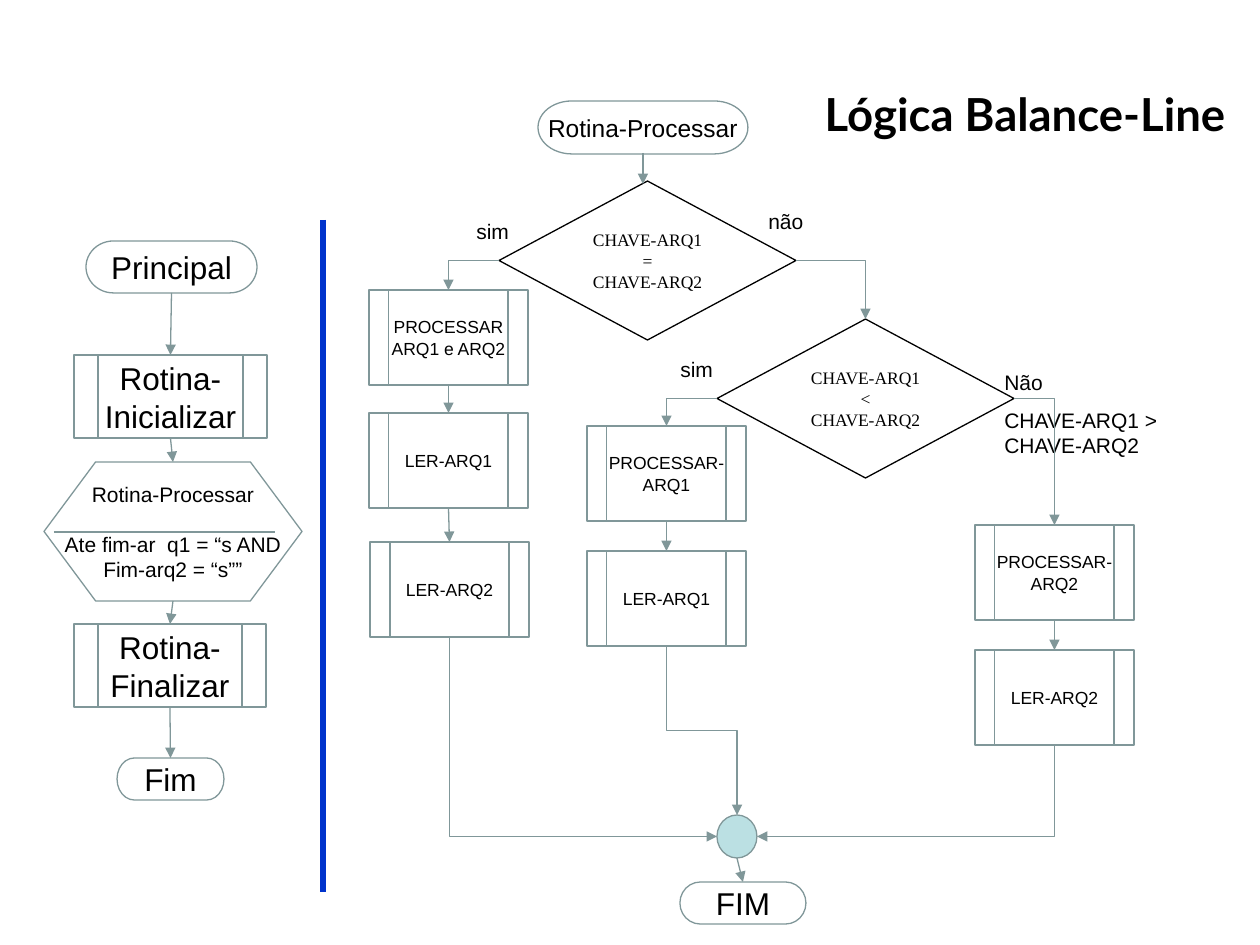
"""Build the balance-line logic flowchart slide."""
from lxml import etree
from pptx import Presentation
from pptx import util as u
from pptx.dml.color import RGBColor
from pptx.enum import shapes, text
from pptx.oxml.ns import qn

PX = 914400 // 126
COLOURS = {"outline": "809799", "white": "FFFFFF", "black": "000000",
           "divider": "0033CC", "join": "BBE0E3"}
TOP, LEFT, BOTTOM, RIGHT = range(4)
KINDS = {"end": shapes.MSO_SHAPE.FLOWCHART_TERMINATOR,
         "process": shapes.MSO_SHAPE.FLOWCHART_PREDEFINED_PROCESS,
         "loop": shapes.MSO_SHAPE.FLOWCHART_PREPARATION,
         "decision": shapes.MSO_SHAPE.FLOWCHART_DECISION,
         "join": shapes.MSO_SHAPE.FLOWCHART_CONNECTOR}
STEP, CHOICE = (159, 95), (297, 159)

TITLE = ("Lógica Balance-Line", (74, 86, 1152, 48))
NODES = {
    "main": ("end", (86, 241, 171, 52), 18, ["Principal"]),
    "initialise": ("process", (74, 355, 193, 83), 18, ["Rotina-", "Inicializar"]),
    "loop": ("loop", (44, 462, 258, 139), 12,
             ["Rotina-Processar", "Ate fim-ar  q1 = “s AND", "Fim-arq2 = “s””"]),
    "finalise": ("process", (74, 624, 192, 83), 18, ["Rotina-", "Finalizar"]),
    "main end": ("end", (117, 758, 107, 42), 18, ["Fim"]),
    "equal": ("decision", (499, 181, *CHOICE), 10, ["CHAVE-ARQ1", "=", "CHAVE-ARQ2"]),
    "routine": ("end", (538, 101, 210, 53), 14, ["Rotina-Processar"]),
    "routine end": ("end", (680, 882, 126, 42), 18, ["FIM"]),
    "process both": ("process", (369, 290, *STEP), 10, ["PROCESSAR", "ARQ1 e ARQ2"]),
    "both read 1": ("process", (369, 413, *STEP), 10, ["LER-ARQ1"]),
    "both read 2": ("process", (370, 542, *STEP), 10, ["LER-ARQ2"]),
    "less": ("decision", (717, 319, *CHOICE), 10, ["CHAVE-ARQ1", "<", "CHAVE-ARQ2"]),
    "process 1": ("process", (587, 426, *STEP), 10, ["PROCESSAR-", "ARQ1"]),
    "read 1": ("process", (587, 551, *STEP), 10, ["LER-ARQ1"]),
    "process 2": ("process", (975, 525, *STEP), 10, ["PROCESSAR-", "ARQ2"]),
    "read 2": ("process", (975, 650, *STEP), 10, ["LER-ARQ2"]),
    "join": ("join", (717, 815, 40, 43), 10, []),
}
LABELS = [((756, 202, 62, 38), ["não"]), ((464, 212, 66, 38), ["sim"]),
          ((668, 350, 66, 38), ["sim"]),
          ((992, 363, 204, 102), ["Não", "CHAVE-ARQ1 > CHAVE-ARQ2"])]
CHAINS = [["main", "initialise", "loop", "finalise", "main end"],
          ["process both", "both read 1", "both read 2"],
          ["process 1", "read 1"], ["process 2", "read 2"]]
BENDS = [("equal", LEFT, "process both", TOP), ("equal", RIGHT, "less", TOP),
         ("less", LEFT, "process 1", TOP), ("less", RIGHT, "process 2", TOP),
         ("both read 2", BOTTOM, "join", LEFT), ("read 1", BOTTOM, "join", TOP),
         ("read 2", BOTTOM, "join", RIGHT)]


def rgb(name):
    return RGBColor.from_string(COLOURS[name])


def place(box):
    return [round(value * PX) for value in box]


def side_point(name, side):
    left, top, width, height = NODES[name][1]
    across, down = {TOP: (0.5, 0), LEFT: (0, 0.5), BOTTOM: (0.5, 1), RIGHT: (1, 0.5)}[side]
    return left + width * across, top + height * down


def write(frame, lines, size, font="Arial", align=text.PP_ALIGN.LEFT, bold=False):
    for index, line in enumerate(lines):
        para = frame.paragraphs[0] if index == 0 else frame.add_paragraph()
        para.text = line
        para.alignment = align
        para.font.size, para.font.name, para.font.bold = u.Pt(size), font, bold
        para.font.color.rgb = rgb("black")


def add_node(page, kind, box, size, lines):
    node = page.shapes.add_shape(KINDS[kind], *place(box))
    node.shadow.inherit = False
    node.fill.solid()
    node.fill.fore_color.rgb = rgb("join" if kind == "join" else "white")
    node.line.color.rgb = rgb("black" if kind == "decision" else "outline")
    node.line.width = u.Pt(0.75)
    frame = node.text_frame
    frame.word_wrap = False
    frame.vertical_anchor = text.MSO_ANCHOR.MIDDLE
    write(frame, lines, size, "Times New Roman" if kind == "decision" else "Arial",
          text.PP_ALIGN.CENTER)
    if kind == "loop":
        frame.paragraphs[1].space_before = u.Pt(14)
    return node


def add_line(page, start, end, colour="outline", width=0.75, arrow=True,
             kind=shapes.MSO_CONNECTOR.STRAIGHT):
    line = page.shapes.add_connector(kind, *place(start + end))
    line.line.color.rgb = rgb(colour)
    line.line.width = u.Pt(width)
    properties = line.element.spPr
    if arrow:
        etree.SubElement(properties.find(qn("a:ln")), qn("a:tailEnd"), type="triangle")
    etree.SubElement(properties, qn("a:effectLst"))
    return line


def add_bend(page, source, source_side, target, target_side):
    start, end = side_point(source, source_side), side_point(target, target_side)
    turn = None
    if source_side == BOTTOM:
        middle_x, middle_y = (start[0] + end[0]) / 2, (start[1] + end[1]) / 2
        half_x, half_y = (end[1] - start[1]) / 2, abs(end[0] - start[0]) / 2
        turn = 90
        if end[0] > start[0]:
            half_x, turn = -half_x, 270
        start = (middle_x - half_x, middle_y - half_y)
        end = (middle_x + half_x, middle_y + half_y)
    bend = add_line(page, start, end, kind=shapes.MSO_CONNECTOR.ELBOW)
    properties = bend.element.spPr
    if turn:
        properties.find(qn("a:xfrm")).set("rot", str(turn * 60000))
    if (source_side, target_side) != (BOTTOM, TOP):
        properties.find(qn("a:prstGeom")).set("prst", "bentConnector2")


def main():
    deck = Presentation()
    deck.slide_width, deck.slide_height = place((1260, 945))
    page = deck.slides.add_slide(deck.slide_layouts[5])

    title = page.shapes.title
    title.left, title.top, title.width, title.height = place(TITLE[1])
    frame = title.text_frame
    frame.margin_left = frame.margin_top = frame.margin_right = frame.margin_bottom = 0
    frame.auto_size = text.MSO_AUTO_SIZE.NONE
    frame.vertical_anchor = text.MSO_ANCHOR.TOP
    write(frame, [TITLE[0]], 26, "Lato", text.PP_ALIGN.RIGHT, True)

    nodes = {name: add_node(page, *details) for name, details in NODES.items()}
    for box, lines in LABELS:
        frame = page.shapes.add_textbox(*place(box)).text_frame
        frame.word_wrap = True
        write(frame, lines, 12)
        for para in frame.paragraphs[1:]:
            para.space_before = u.Pt(7.5)

    for chain in CHAINS:
        for source, target in zip(chain, chain[1:]):
            line = add_line(page, side_point(source, BOTTOM), side_point(target, TOP))
            line.begin_connect(nodes[source], BOTTOM)
            line.end_connect(nodes[target], TOP)
    for bend in BENDS:
        add_bend(page, *bend)
    add_line(page, (643, 153), (643, 184))
    last = add_line(page, side_point("join", BOTTOM), side_point("routine end", TOP))
    last.end_connect(nodes["routine end"], TOP)
    add_line(page, (54, 532), (275, 532), arrow=False)
    add_line(page, (323, 220), (323, 892), "divider", 3, False)
    deck.save("out.pptx")


if __name__ == "__main__":
    main()
